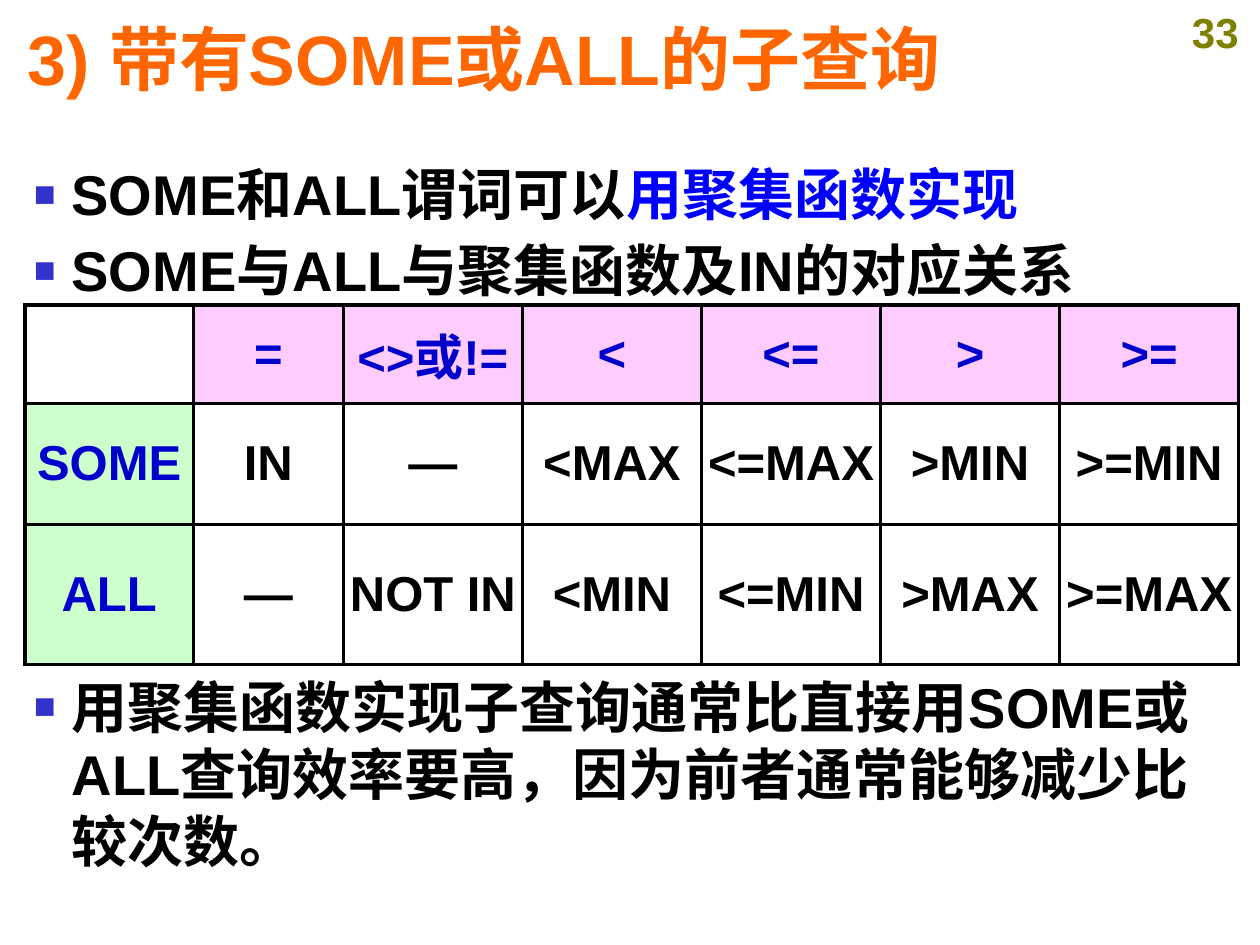
from lxml import etree
from pptx import Presentation
from pptx.dml.color import RGBColor
from pptx.enum.text import MSO_ANCHOR, MSO_AUTO_SIZE, PP_ALIGN
from pptx.oxml.ns import qn
from pptx.util import Cm, Pt

LEFT, CENTER = PP_ALIGN.LEFT, PP_ALIGN.CENTER
MIDDLE, TOP = MSO_ANCHOR.MIDDLE, MSO_ANCHOR.TOP
NO_FIT = MSO_AUTO_SIZE.NONE

ORANGE = RGBColor(0xFF, 0x66, 0x00)
OLIVE = RGBColor(0x80, 0x80, 0x00)
BLACK = RGBColor(0x00, 0x00, 0x00)
WHITE = RGBColor(0xFF, 0xFF, 0xFF)
BLUE = RGBColor(0x00, 0x00, 0xFF)
DARK_BLUE = RGBColor(0x00, 0x00, 0xCC)
BULLET = RGBColor(0x33, 0x33, 0xCC)
PINK = RGBColor(0xFF, 0xCC, 0xFF)
GREEN = RGBColor(0xCC, 0xFF, 0xCC)


def add_run(p, text, size, color):
    r = p.add_run()
    r.text = text
    for name, value in {"name": "Arial", "size": Pt(size), "bold": True}.items():
        setattr(r.font, name, value)
    r.font.color.rgb = color


def add_xml(parent, tag, **attrs):
    return etree.SubElement(parent, qn(tag), attrs)


prs = Presentation()
prs.slide_width, prs.slide_height = Cm(25.4), Cm(19.05)
s = prs.slides.add_slide(prs.slide_layouts[1])
title, body = s.placeholders
number = s.shapes.add_textbox(Cm(23.6), Cm(0), Cm(1.8), Cm(1.27))

frames = [
    (title, (0.3, 0.2, 24.56, 1.93), MIDDLE),
    (body, (0.43, 2.92, 24.2, 15.4), TOP),
    (number, (23.6, 0, 1.8, 1.27), TOP),
]
for sp, box, anchor in frames:
    for name, value in zip(("left", "top", "width", "height"), box):
        setattr(sp, name, Cm(value))
    tf = sp.text_frame
    for name, value in {"word_wrap": True, "auto_size": NO_FIT, "vertical_anchor": anchor}.items():
        setattr(tf, name, value)

p = title.text_frame.paragraphs[0]
p.alignment = LEFT
add_run(p, "3) 带有SOME或ALL的子查询", 40, ORANGE)

p = number.text_frame.paragraphs[0]
p.alignment = CENTER
add_run(p, "33", 24, OLIVE)

points = [
    ([("SOME和ALL谓词可以", BLACK), ("用聚集函数实现", BLUE)], 43.4, 0),
    ([("SOME与ALL与聚集函数及IN的对应关系", BLACK)], 43.4, 0),
    ([("用聚集函数实现子查询通常比直接用SOME或ALL查询效率要高，"
       "因为前者通常能够减少比较次数。", BLACK)], 38.3, 211),
]
tf = body.text_frame
for i, (runs, spacing, before) in enumerate(points):
    p = tf.add_paragraph() if i else tf.paragraphs[0]
    pPr = p._p.get_or_add_pPr()
    pPr.set("marL", str(Cm(0.76)))
    pPr.set("indent", str(-Cm(0.76)))
    add_xml(add_xml(pPr, "a:buClr"), "a:srgbClr", val=str(BULLET))
    add_xml(pPr, "a:buSzPct", val="65000")
    add_xml(pPr, "a:buFont", typeface="Arial")
    add_xml(pPr, "a:buChar", char="■")
    for name, value in {"line_spacing": Pt(spacing), "space_before": Pt(before)}.items():
        setattr(p, name, value)
    for text, color in runs:
        add_run(p, text, 32, color)

rows = [
    ["", "=", "<>或!=", "<", "<=", ">", ">="],
    ["SOME", "IN", "—", "<MAX", "<=MAX", ">MIN", ">=MIN"],
    ["ALL", "—", "NOT IN", "<MIN", "<=MIN", ">MAX", ">=MAX"],
]
widths = [3.4, 3.02] + [3.61] * 5
heights = [1.98, 2.44, 2.82]
table = s.shapes.add_table(len(rows), len(widths), Cm(0.5), Cm(6.15),
                           Cm(sum(widths)), Cm(sum(heights))).table
for column, width in zip(table.columns, widths):
    column.width = Cm(width)
for row, height in zip(table.rows, heights):
    row.height = Cm(height)

cell_format = {"margin_left": 0, "margin_right": 0, "margin_top": Cm(0.13),
               "margin_bottom": Cm(0.13), "vertical_anchor": MIDDLE}
for i, texts in enumerate(rows):
    for j, text in enumerate(texts):
        cell = table.cell(i, j)
        for name, value in cell_format.items():
            setattr(cell, name, value)
        tcPr = cell._tc.get_or_add_tcPr()
        for side in ("a:lnL", "a:lnR", "a:lnT", "a:lnB"):
            line = add_xml(tcPr, side, w=str(Pt(2.25)))
            add_xml(add_xml(line, "a:solidFill"), "a:srgbClr", val=str(BLACK))
        header = text and (i == 0 or j == 0)
        cell.fill.solid()
        cell.fill.fore_color.rgb = (PINK if i == 0 else GREEN) if header else WHITE
        if text:
            p = cell.text_frame.paragraphs[0]
            p.alignment = CENTER
            add_run(p, text, 28, DARK_BLUE if header else BLACK)

prs.save("out.pptx")
